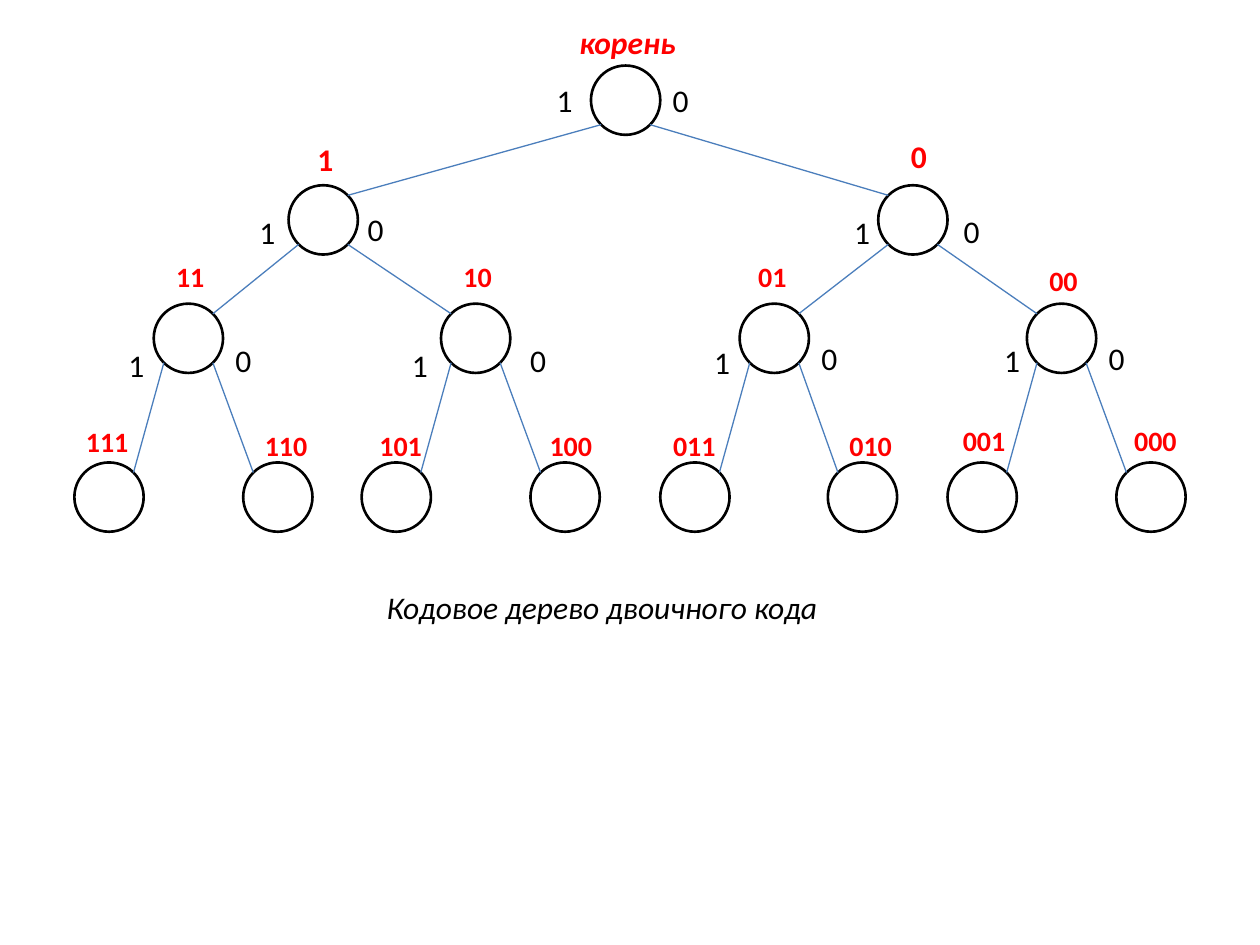
from math import sqrt

from lxml import etree
from pptx import Presentation
from pptx.dml.color import RGBColor
from pptx.enum.shapes import MSO_CONNECTOR, MSO_SHAPE
from pptx.enum.text import MSO_AUTO_SIZE, PP_ALIGN
from pptx.oxml.ns import qn
from pptx.util import Inches, Pt

STRAIGHT, ELLIPSE = MSO_CONNECTOR.STRAIGHT, MSO_SHAPE.OVAL
FIT_SHAPE = MSO_AUTO_SIZE.SHAPE_TO_FIT_TEXT
LEFT, CENTER = PP_ALIGN.LEFT, PP_ALIGN.CENTER

COLORS = {"code": "FF0000", "text": "000000", "outline": "000000", "branch": "4B7EBC"}
FONT = "Calibri"
DIAMETER = 0.55
CORNER = DIAMETER * (1 - sqrt(0.5)) / 2  # from the box corner to the circle's diagonal point
LEVEL_TOPS = [0.52, 1.47, 2.41, 3.67]
DIGIT_SIZE = (0.28, 0.4)
CODE_SIZE = (0.42, 0.27)

# code: (circle left, code label offset from the circle's top left corner)
NODES = {
    "": (4.69, (-0.2, -0.39)),
    "1": (2.29, (0.13, -0.41)), "0": (6.97, (0.16, -0.43)),
    "11": (1.22, (0.08, -0.35)), "10": (3.5, (0.08, -0.35)),
    "01": (5.87, (0.05, -0.35)), "00": (8.15, (0.08, -0.32)),
    "111": (0.59, (0.05, -0.3)), "110": (1.93, (0.13, -0.27)),
    "101": (2.87, (0.1, -0.27)), "100": (4.21, (0.11, -0.27)),
    "011": (5.24, (0.06, -0.27)), "010": (6.57, (0.13, -0.27)),
    "001": (7.52, (0.08, -0.31)), "000": (8.86, (0.1, -0.31)),
}
# parent code: offsets of the branch digits 1 and 0 from the circle's top left corner
DIGITS = {
    "": {"1": (-0.37, 0.07), "0": (0.55, 0.07)},
    "1": {"1": (-0.33, 0.17), "0": (0.53, 0.15)},
    "0": {"1": (-0.29, 0.17), "0": (0.58, 0.16)},
    "11": {"1": (-0.3, 0.29), "0": (0.55, 0.25)},
    "10": {"1": (-0.33, 0.29), "0": (0.61, 0.25)},
    "01": {"1": (-0.3, 0.26), "0": (0.55, 0.23)},
    "00": {"1": (-0.28, 0.25), "0": (0.55, 0.23)},
}


def rgb(name):
    return RGBColor.from_string(COLORS[name])


def add_text(slide, text, box, size=18, color="text", bold=False, italic=False,
             align=LEFT, wrap=True, inset=True):
    shape = slide.shapes.add_textbox(*map(Inches, box))
    frame = shape.text_frame
    frame.word_wrap = wrap
    frame.auto_size = FIT_SHAPE
    if not inset:
        frame.margin_left = frame.margin_right = frame.margin_top = frame.margin_bottom = 0
    paragraph = frame.paragraphs[0]
    paragraph.text = text
    paragraph.alignment = align
    font = paragraph.font
    font.name, font.size, font.bold, font.italic = FONT, Pt(size), bold, italic
    font.color.rgb = rgb(color)


def add_circle(slide, left, top):
    shape = slide.shapes.add_shape(
        ELLIPSE, Inches(left), Inches(top), Inches(DIAMETER), Inches(DIAMETER))
    shape.shadow.inherit = False
    shape.fill.background()
    shape.line.color.rgb = rgb("outline")
    shape.line.width = Pt(1.5)


def add_branch(slide, parent, child, bit):
    """Join the parent's lower side to the child's upper side; bit 1 goes left."""
    near, far = CORNER, DIAMETER - CORNER
    start_x, end_x = (near, far) if bit == "1" else (far, near)
    points = (parent[0] + start_x, parent[1] + far, child[0] + end_x, child[1] + near)
    connector = slide.shapes.add_connector(STRAIGHT, *map(Inches, points))
    connector.line.color.rgb = rgb("branch")
    connector.line.width = Pt(0.75)
    etree.SubElement(connector._element.spPr, qn("a:effectLst"))


def add_code(slide, code, left, top):
    if not code:
        add_text(slide, "корень", (left, top, 0.98, 0.4), color="code",
                 bold=True, italic=True, align=CENTER, wrap=False)
    elif len(code) == 1:
        add_text(slide, code, (left, top, *DIGIT_SIZE), color="code", bold=True)
    else:
        add_text(slide, code, (left, top, *CODE_SIZE), size=16, color="code",
                 bold=True, align=CENTER, inset=False)


def add_code_tree(slide, left, top):
    corners = {code: (left + x, top + LEVEL_TOPS[len(code)])
               for code, (x, _) in NODES.items()}
    for corner in corners.values():
        add_circle(slide, *corner)
    for parent, digits in DIGITS.items():
        for bit in digits:
            add_branch(slide, corners[parent], corners[parent + bit], bit)
    for code, (x, y) in corners.items():
        dx, dy = NODES[code][1]
        add_code(slide, code, x + dx, y + dy)
        for bit, (dx, dy) in DIGITS.get(code, {}).items():
            add_text(slide, bit, (x + dx, y + dy, *DIGIT_SIZE))


def main():
    presentation = Presentation()
    presentation.slide_width, presentation.slide_height = Inches(10), Inches(7.5)
    slide = presentation.slides.add_slide(presentation.slide_layouts[6])
    add_code_tree(slide, 0, 0)
    add_text(slide, "Кодовое дерево двоичного кода", (2.97, 4.62, 3.7, 0.4),
             italic=True, wrap=False)
    presentation.save("out.pptx")


if __name__ == "__main__":
    main()
